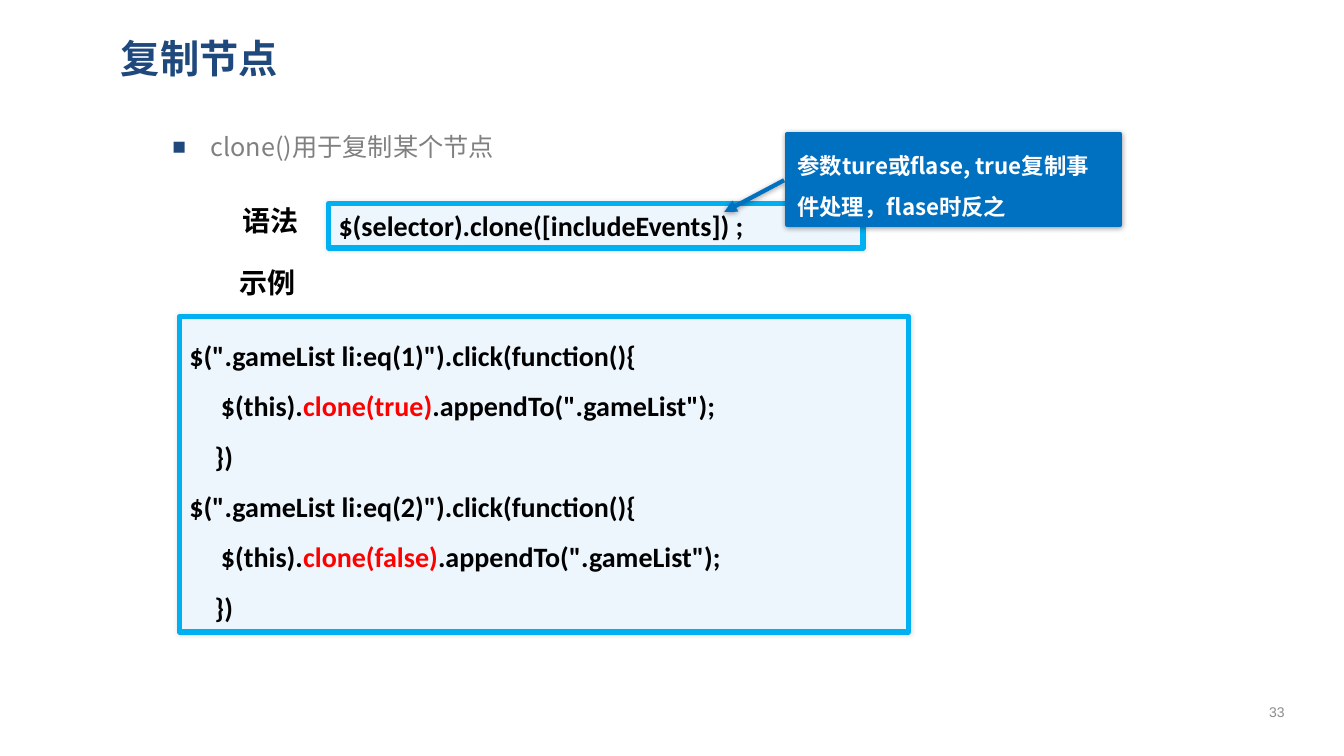
from lxml import etree
from pptx import Presentation
from pptx.dml.color import RGBColor
from pptx.enum.shapes import MSO_SHAPE
from pptx.enum.text import MSO_ANCHOR, MSO_AUTO_SIZE, PP_ALIGN
from pptx.oxml import parse_xml
from pptx.oxml.ns import nsdecls, qn
from pptx.util import Inches, Pt

ROUNDED, CALLOUT = MSO_SHAPE.ROUNDED_RECTANGLE, MSO_SHAPE.LINE_CALLOUT_1
TOP, MIDDLE = MSO_ANCHOR.TOP, MSO_ANCHOR.MIDDLE
LEFT, CENTER = PP_ALIGN.LEFT, PP_ALIGN.CENTER
GROW, FIXED = MSO_AUTO_SIZE.SHAPE_TO_FIT_TEXT, MSO_AUTO_SIZE.NONE
CJK, LATIN = "Noto Sans CJK SC", "Calibri"
NAVY, BLUE, CYAN, PALE = "1F497D", "0070C0", "00B0F0", "EDF5FD"
BLACK, RED, WHITE, GREY, PALE_GREY = "000000", "FF0000", "FFFFFF", "808080", "8C8C8C"


def rgb(value):
    return RGBColor.from_string(value)


def shadow_effect(alpha, blur, distance, angle):
    return parse_xml(
        f'<a:effectLst {nsdecls("a")}><a:outerShdw blurRad="{Pt(blur)}" '
        f'dist="{Pt(distance)}" dir="{angle * 60000}" algn="ctr" rotWithShape="0">'
        f'<a:srgbClr val="{BLACK}"><a:alpha val="{alpha * 1000}"/></a:srgbClr>'
        '</a:outerShdw></a:effectLst>')


class SlideBuilder:
    """Hold the slide and its style, and add each kind of element."""

    def __init__(self, deck):
        self.slide = deck.slides.add_slide(deck.slide_layouts[1])
        self.frame_format = {"word_wrap": True, "auto_size": FIXED, "vertical_anchor": TOP}
        self.paragraph_format = {"alignment": LEFT, "space_before": Pt(0),
                                 "line_spacing": 1.0}

    def place(self, shape, box):
        for side, length in zip(("left", "top", "width", "height"), box):
            setattr(shape, side, Inches(length))

    def fill_text(self, shape, lines, size, color, font=CJK, bold=True, frame=None, **layout):
        text_frame = shape.text_frame
        for key, value in (self.frame_format | (frame or {})).items():
            setattr(text_frame, key, value)
        for index, line in enumerate(lines):
            paragraph = text_frame.add_paragraph() if index else text_frame.paragraphs[0]
            for key, value in (self.paragraph_format | layout).items():
                setattr(paragraph, key, value)
            for text, run_color in line if isinstance(line, list) else [(line, color)]:
                run = paragraph.add_run()
                run.text = text
                for key, value in {"size": Pt(size), "name": font, "bold": bold}.items():
                    setattr(run.font, key, value)
                run.font.color.rgb = rgb(run_color)
                latin = run.font._element.find(qn("a:latin"))
                east_asian = etree.Element(qn("a:ea"), typeface=font)
                latin.addnext(east_asian)
        return shape

    def title(self, text, box):
        heading = self.slide.shapes.title
        self.place(heading, box)
        self.fill_text(heading, [text], 28, NAVY, frame={"vertical_anchor": MIDDLE})

    def bullets(self, lines, box):
        body = self.slide.placeholders[1]
        self.place(body, box)
        self.fill_text(body, lines, 18, GREY, bold=False, level=1, line_spacing=1.2)
        for paragraph in body.text_frame.paragraphs:
            properties = paragraph._p.get_or_add_pPr()
            properties.set("marL", str(Inches(0.88)))
            properties.set("indent", str(Inches(-0.38)))
            bullet = parse_xml(
                f'<a:pPr {nsdecls("a")}><a:buClr><a:srgbClr val="{NAVY}"/></a:buClr>'
                '<a:buSzPct val="90000"/><a:buFont typeface="Arial"/>'
                '<a:buChar char="■"/></a:pPr>')
            properties.extend(list(bullet))

    def panel(self, kind, box, fill, line, weight, adjustments, shadow):
        shape = self.slide.shapes.add_shape(kind, *map(Inches, box))
        for index, value in enumerate(adjustments):
            shape.adjustments[index] = value
        shape.fill.solid()
        shape.fill.fore_color.rgb = rgb(fill)
        shape.line.color.rgb = rgb(line)
        shape.line.width = Pt(weight)
        shape.shadow.inherit = False
        properties = shape._element.spPr
        properties.replace(properties.find(qn("a:effectLst")), shadow_effect(*shadow))
        return shape

    def code(self, lines, box, line_spacing=1.0):
        panel = self.panel(ROUNDED, box, PALE, CYAN, 4, [0], (10, 3, 0, 0))
        self.fill_text(panel, lines, 20, BLACK, LATIN, frame={"auto_size": GROW},
                       line_spacing=line_spacing)

    def callout(self, text, box, pointer):
        panel = self.panel(CALLOUT, box, BLUE, BLUE, 3, pointer, (40, 4, 1, 90))
        etree.SubElement(panel.line._ln, qn("a:headEnd"), type="triangle")
        self.fill_text(panel, [text], 16, WHITE, frame={"vertical_anchor": MIDDLE},
                       line_spacing=1.5)

    def text(self, text, box, size, color, **options):
        return self.fill_text(self.slide.shapes.add_textbox(*map(Inches, box)),
                              [text], size, color, **options)

    def label(self, text, left, top):
        label = self.text(text, (left, top, 0.77, 0.44), 20, BLACK, frame={
            "vertical_anchor": MIDDLE, "word_wrap": False, "auto_size": GROW})
        font = label.text_frame.paragraphs[0].runs[0].font
        font._element.find(qn("a:latin")).addprevious(shadow_effect(45, 3, 2, 45))


def handler(index, argument):
    return [f'$(".gameList li:eq({index})").click(function(){{',
            [("     $(this).", BLACK), (f"clone({argument})", RED),
             ('.appendTo(".gameList");', BLACK)],
            "    })"]


def main():
    deck = Presentation()
    deck.slide_width, deck.slide_height = Inches(13.33), Inches(7.5)
    page = SlideBuilder(deck)
    page.bullets(["clone()用于复制某个节点"], (1.11, 1.19, 11.65, 5.68))
    page.title("复制节点", (1.1, 0.24, 11.65, 0.67))
    page.code(handler(1, "true") + handler(2, "false"), (1.78, 3.14, 7.23, 3.13), 1.5)
    page.code(["$(selector).clone([includeEvents]) ;"], (3.26, 2.02, 5.3, 0.44))
    page.label("语法", 2.31, 1.97)
    page.callout("参数ture或flase, true复制事件处理，flase时反之",
                 (7.81, 1.33, 3.3, 0.9), (0.86, -0.19, 0.51, -0.01))
    page.label("示例", 2.28, 2.58)
    page.text("33", (12.34, 6.86, 0.65, 0.4), 10, PALE_GREY, font="Arial", bold=False,
              frame={"vertical_anchor": MIDDLE}, alignment=CENTER)
    deck.save("out.pptx")


if __name__ == "__main__":
    main()
